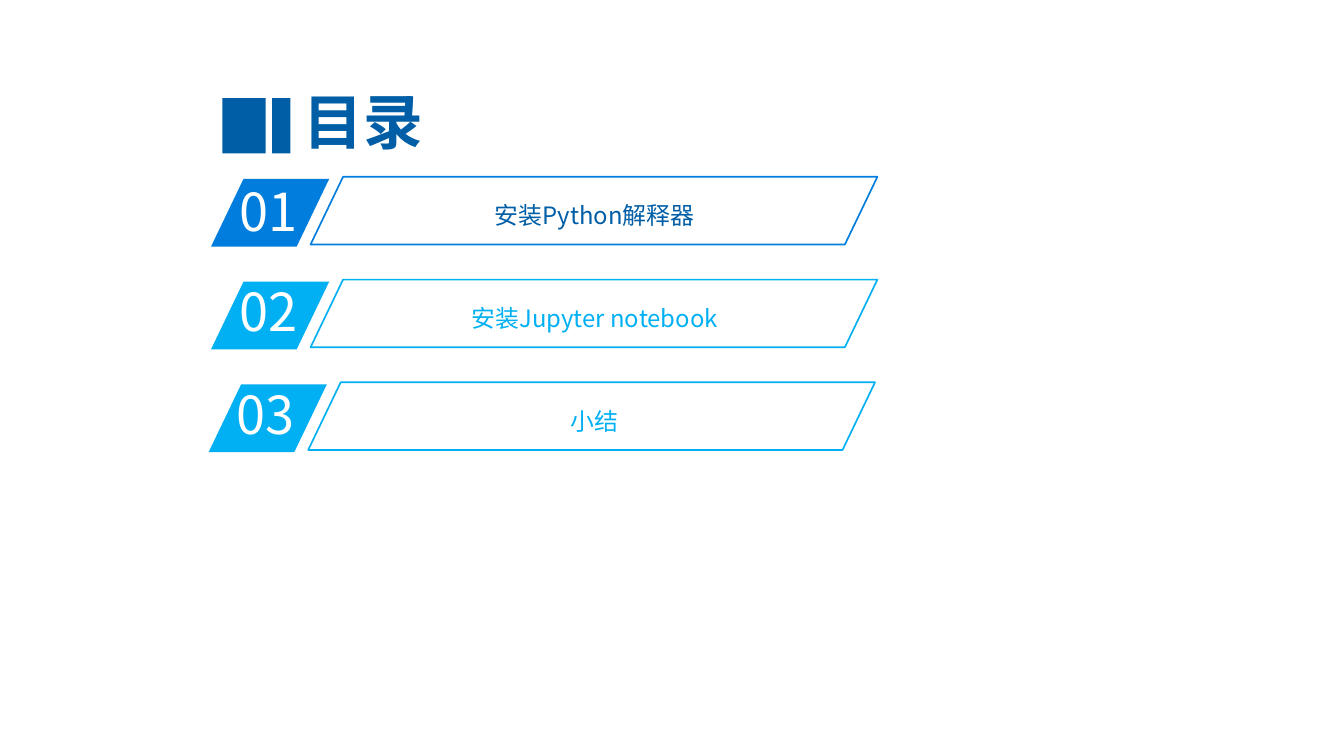
"""Build the table-of-contents slide with three numbered entries."""
from lxml import etree
from pptx import Presentation
from pptx.dml.color import RGBColor
from pptx.enum.shapes import MSO_SHAPE
from pptx.enum.text import MSO_ANCHOR, PP_ALIGN
from pptx.oxml.ns import qn
from pptx.util import Pt

RECTANGLE = MSO_SHAPE.RECTANGLE
PARALLELOGRAM = MSO_SHAPE.PARALLELOGRAM
LEFT, CENTER = PP_ALIGN.LEFT, PP_ALIGN.CENTER
TOP, MIDDLE = MSO_ANCHOR.TOP, MSO_ANCHOR.MIDDLE
FONT = "Noto Sans CJK SC"
COLORS = {"navy": "005EA6", "blue": "007DDD", "sky": "00B0F2", "white": "FFFFFF"}

presentation = Presentation()
presentation.slide_width = Pt(1012.5)
presentation.slide_height = Pt(569.5)
slide = presentation.slides.add_slide(presentation.slide_layouts[6])


def add_block(kind, left, top, width, height, fill=None, line=None):
    shape = slide.shapes.add_shape(kind, Pt(left), Pt(top), Pt(width), Pt(height))
    shape.shadow.inherit = False
    if kind == PARALLELOGRAM:
        shape.adjustments[0] = 0.48
    if fill:
        shape.fill.solid()
        shape.fill.fore_color.rgb = RGBColor.from_string(COLORS[fill])
    else:
        shape.fill.background()
    if line:
        shape.line.color.rgb = RGBColor.from_string(COLORS[line])
        shape.line.width = Pt(1.25)
    else:
        shape.line.fill.background()


def add_text(text, left, top, width, height, size, color, align=CENTER, anchor=TOP):
    box = slide.shapes.add_textbox(Pt(left), Pt(top), Pt(width), Pt(height))
    box.text_frame.word_wrap = True
    box.text_frame.vertical_anchor = anchor
    paragraph = box.text_frame.paragraphs[0]
    paragraph.text = text
    paragraph.alignment = align
    paragraph.font.size = Pt(size)
    paragraph.font.name = FONT
    paragraph.font.color.rgb = RGBColor.from_string(COLORS[color])
    properties = paragraph._p.pPr.find(qn("a:defRPr"))
    etree.SubElement(properties, qn("a:ea"), typeface=FONT)
    return paragraph


heading = add_text("目录", 149, 63.4, 249.8, 54.7, 45, "navy", anchor=MIDDLE)
heading.font.bold = True
heading.space_before = Pt(9)
for bar_left, bar_width in ((167.5, 32.7), (205, 13.8)):
    add_block(RECTANGLE, bar_left, 74, bar_width, 41.5, fill="navy")

ENTRIES = (
    ("01", "安装Python解释器", "blue", "navy", 0, 131.8),
    ("02", "安装Jupyter notebook", "sky", "sky", 0, 206.6),
    ("03", "小结", "sky", "sky", -1.8, 284.4),
)
ROW_PITCH = 77.4
for row, (number, title, accent, title_color, shift, number_top) in enumerate(ENTRIES):
    offset = row * ROW_PITCH
    add_block(PARALLELOGRAM, 159 + shift, 134.8 + offset, 89, 51, fill=accent)
    add_text(number, 173 + shift, number_top, 85, 54.7, 39.4, "white", align=LEFT)
    title_paragraph = add_text(title, 291.5, 137 + offset, 313.2, 35.3, 18, title_color)
    title_paragraph.line_spacing = 1.5
    add_block(PARALLELOGRAM, 234 + shift, 133.2 + offset, 427, 51, line=accent)

presentation.save("out.pptx")
